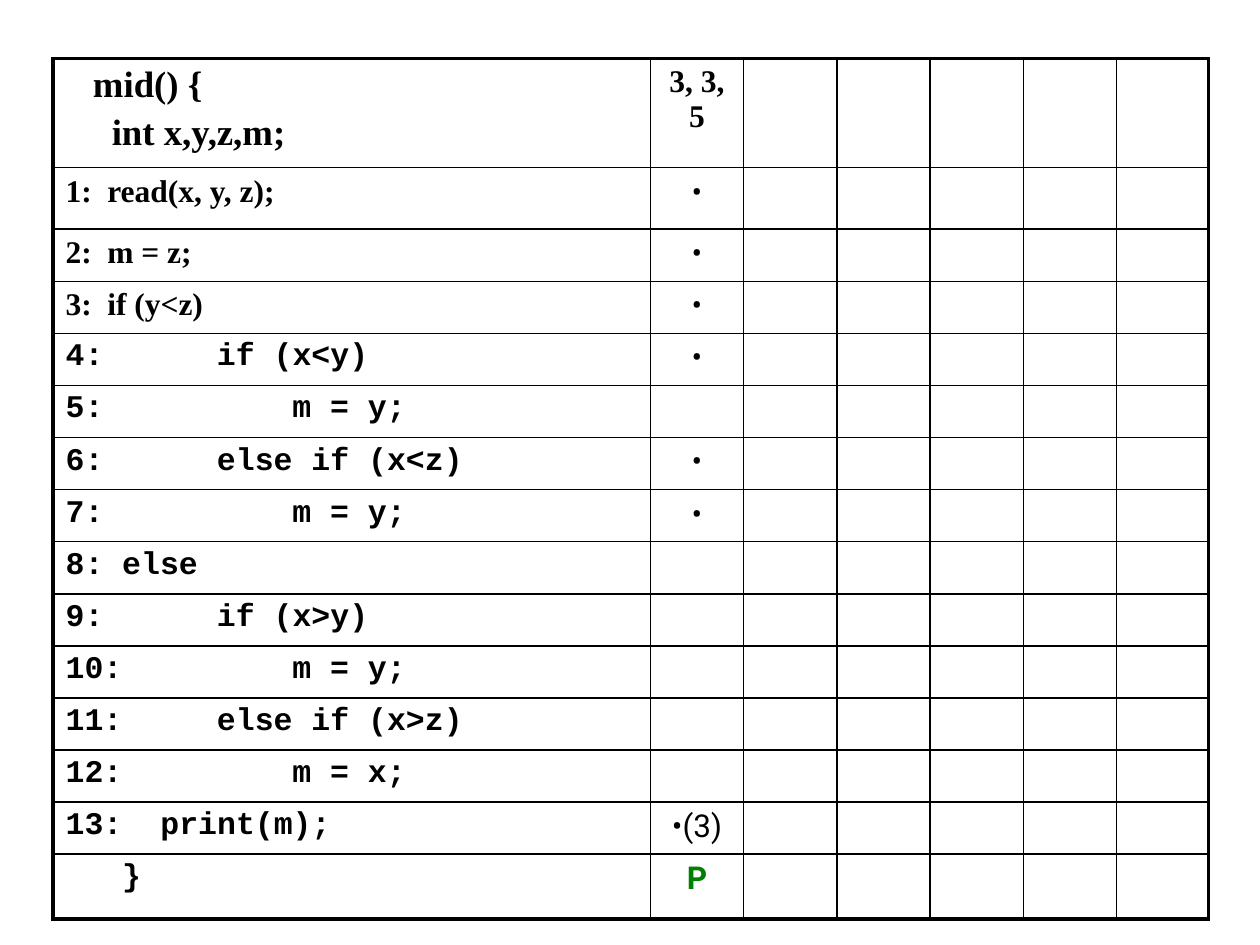
"""Build the slide with the statement coverage table of mid()."""
from lxml import etree
from pptx import Presentation, util as u
from pptx.dml.color import RGBColor
from pptx.enum import text
from pptx.oxml import ns

SERIF, MONO, SANS = "Times New Roman", "Courier New", "Roboto"
BLACK, WHITE, GREEN = "000000", "FFFFFF", "008000"
HEAD = [("mid() {", 0.55), ("int x,y,z,m;", 0.93)]
CASE = "3, 3, 5"
CODE = [
    ("1:", 0.84, "read(x, y, z);", "•"),
    ("2:", 0.84, "m = z;", "•"),
    ("3:", 0.84, "if (y<z)", "•"),
    ("4:", 3.05, "if (x<y)", "•"),
    ("5:", 4.57, "m = y;", ""),
    ("6:", 3.05, "else if (x<z)", "•"),
    ("7:", 4.57, "m = y;", "•"),
    ("8:", 1.14, "else", ""),
    ("9:", 3.05, "if (x>y)", ""),
    ("10:", 4.57, "m = y;", ""),
    ("11:", 3.05, "else if (x>z)", ""),
    ("12:", 4.57, "m = x;", ""),
    ("13:", 1.91, "print(m);", "•(3)"),
    ("", 1.14, "}", "P"),
]
COLS = [12.04] + [1.88] * 5 + [1.85]
ROWS = [2.2, 1.24] + [1.05] * 12 + [1.31]
LEFT, TOP = 1.07, 1.18
THIN, THICK = 1, 2.25


def hue(code):
    """Turn a hex string into a colour."""
    return RGBColor.from_string(code)


def style(para, font, size=18, bold=True, color=BLACK):
    """Format every run of a paragraph."""
    for run in para.runs:
        face = run.font
        face.name, face.size, face.bold = font, u.Pt(size), bold
        face.color.rgb = hue(color)


def shift(para, gap):
    """Indent a paragraph from the left."""
    para._p.get_or_add_pPr().set("marL", str(u.Cm(gap)))


def stop(para, gap):
    """Give a paragraph one left tab stop."""
    tabs = etree.SubElement(para._p.get_or_add_pPr(), ns.qn("a:tabLst"))
    etree.SubElement(tabs, ns.qn("a:tab"), pos=str(u.Cm(gap)), algn="l")


def frame(cell, row, col):
    """Draw the four borders of a cell, thick on the rim, and fill it."""
    rim = {"L": col == 0, "R": col == len(COLS) - 1,
           "T": row == 0, "B": row == len(ROWS) - 1}
    prop = cell._tc.get_or_add_tcPr()
    for side, edge in rim.items():
        line = etree.SubElement(prop, ns.qn("a:ln" + side),
                                w=str(u.Pt(THICK if edge else THIN)))
        fill = etree.SubElement(line, ns.qn("a:solidFill"))
        etree.SubElement(fill, ns.qn("a:srgbClr"), val=BLACK)
    cell.fill.solid()
    cell.fill.fore_color.rgb = hue(WHITE)


def mark(cell, word, font=SANS, bold=False, color=BLACK):
    """Write a centred entry in the test column."""
    para = cell.text_frame.paragraphs[0]
    para.text = word
    para.alignment = text.PP_ALIGN.CENTER
    style(para, font, bold=bold, color=color)


def main():
    """Lay out the grid and write the code and the marks."""
    deck = Presentation()
    deck.slide_width, deck.slide_height = u.Cm(25.4), u.Cm(19.05)
    slide = deck.slides.add_slide(deck.slide_layouts[6])
    grid = slide.shapes.add_table(
        len(ROWS), len(COLS), u.Cm(LEFT), u.Cm(TOP),
        u.Cm(sum(COLS)), u.Cm(sum(ROWS))).table
    grid.first_row = grid.horz_banding = False
    for col, width in zip(grid.columns, COLS):
        col.width = u.Cm(width)
    for row, height in zip(grid.rows, ROWS):
        row.height = u.Cm(height)
    for row in range(len(ROWS)):
        for col in range(len(COLS)):
            frame(grid.cell(row, col), row, col)

    body = grid.cell(0, 0).text_frame
    body.text = "\n".join(word for word, gap in HEAD)
    for para, (word, gap) in zip(body.paragraphs, HEAD):
        shift(para, gap)
        style(para, SERIF, 21)
    body.paragraphs[1].space_before = u.Pt(4.2)
    mark(grid.cell(0, 1), CASE, SERIF, True)

    for row, (label, gap, code, hit) in enumerate(CODE, 1):
        para = grid.cell(row, 0).text_frame.paragraphs[0]
        if label:
            para.text = label + "\t" + code
            stop(para, gap)
        else:
            para.text = code
            shift(para, gap)
        style(para, SERIF if row <= 3 else MONO)
        if hit:
            last = hit == "P"
            mark(grid.cell(row, 1), hit, bold=last,
                 color=GREEN if last else BLACK)
    deck.save("out.pptx")


if __name__ == "__main__":
    main()
